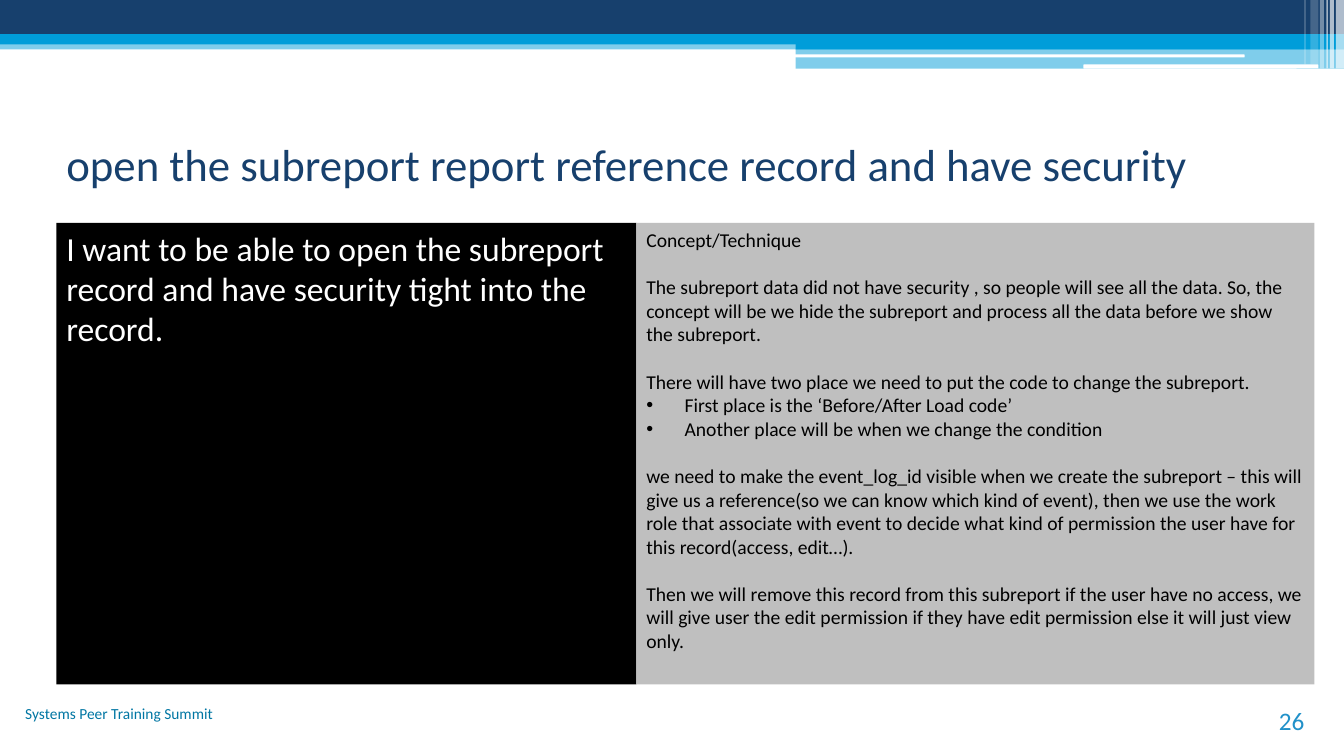
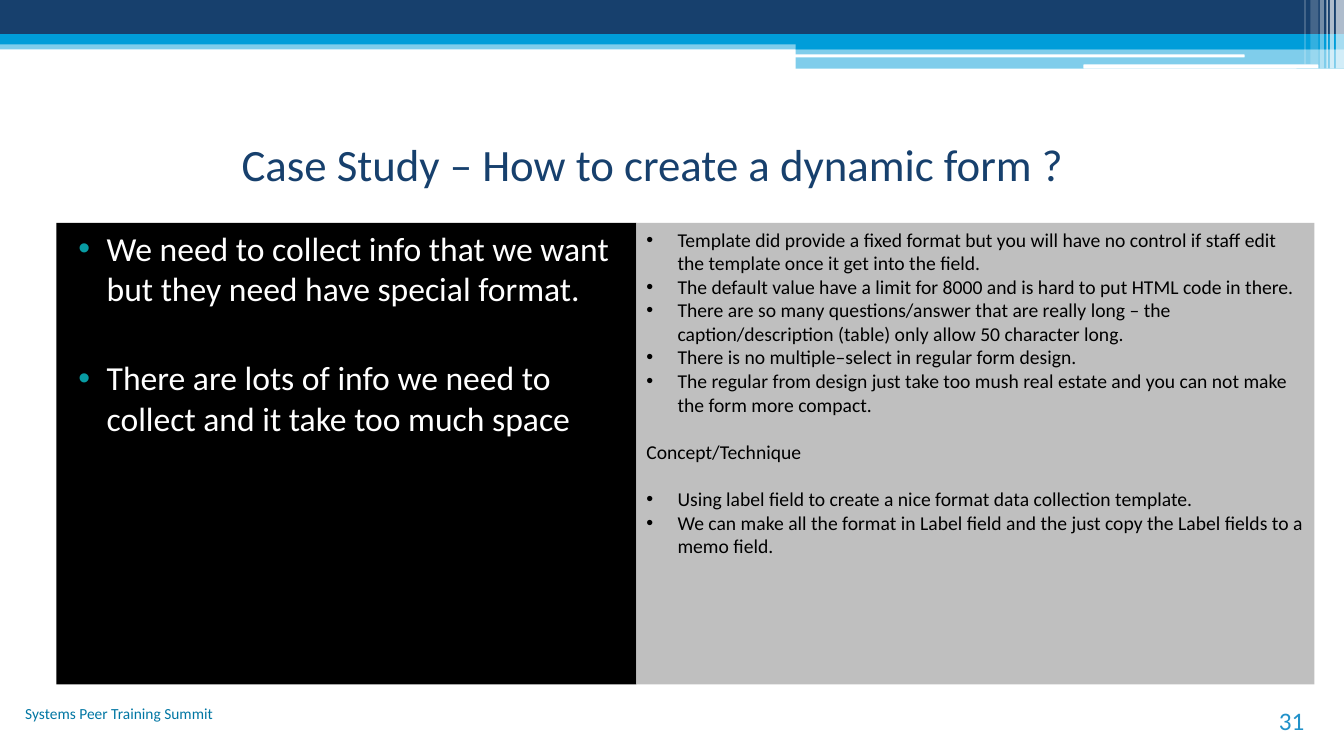
import pptx
import pptx.dml.color
import pptx.enum.shapes
import pptx.enum.text
import pptx.oxml
import pptx.oxml.ns
import pptx.util
from lxml import etree

COLORS = {
    "navy": "17406D", "blue": "009DD9", "white": "FFFFFF", "black": "000000",
    "gray": "BFBFBF", "teal": "089CA3", "footer": "0076A3", "number": "2191C9",
}
FONT = "Calibri"
ALIGN = pptx.enum.text.PP_ALIGN
ANCHOR = pptx.enum.text.MSO_ANCHOR
RECTANGLE = pptx.enum.shapes.MSO_SHAPE.RECTANGLE
ROUNDED = pptx.enum.shapes.MSO_SHAPE.ROUNDED_RECTANGLE
WIDTH, HEIGHT = pptx.util.Inches(13.333), pptx.util.Inches(7.5)

# Regions as left, top, width, height in percent of the slide
HEADER = (0, 0, 100, 9.07)
TITLE = (4.2, 13.87, 88.72, 15.6)
BODY = (4.2, 29.47, 93.6, 61.07)
FOOTER = (0, 92.53, 16.6, 6.67)
NUMBER = (89.47, 92.67, 8.33, 5.33)

# Header parts in percent of the header: box, colour, opacity
BANDS = [
    ((0, 58.8, 100, 13.2), "blue", 50),
    ((0, 0, 100, 50), "navy", 100),
    ((0, 50, 100, 14.7), "blue", 100),
    ((59.2, 57.4, 40.8, 14.7), "blue", 100),
    ((59.2, 71, 40.8, 29), "blue", 50),
]
HIGHLIGHTS = [(59.1, 79.4, 33.5, 4.4), (80.6, 94.1, 17.5, 5.9)]
# Right-hand stripes: left, width, height, opacity
STRIPES = [
    (99.4, 0.6, 100, 65), (98.95, 0.3, 100, 65), (98.7, 0.1, 100, 60),
    (98.2, 0.3, 100, 40), (97.5, 0.6, 94, 20), (97.05, 0.1, 94, 30),
]

TEXT_STYLES = {
    "title": {"size": 32, "color": "navy"},
    "problem": {"size": 24, "color": "white"},
    "detail": {"size": 14, "color": "black"},
    "footer": {"size": 11, "color": "footer"},
    "number": {"size": 18, "color": "number"},
}

# Each paragraph: text, bulleted, space before in points
PROBLEM_GAP, DETAIL_GAP = 35, 17
SLIDES = [
    {
        "title": "open the subreport report reference record and have security",
        "title_align": ALIGN.LEFT,
        "number": "26",
        "indent": 0.38,
        "problem": [
            ("I want to be able to open the subreport record and have security "
             "tight into the record.", False, 0),
        ],
        "detail": [
            ("Concept/Technique", False, 0),
            ("The subreport data did not have security , so people will see all "
             "the data. So, the concept will be we hide the subreport and process "
             "all the data before we show the subreport.", False, DETAIL_GAP),
            ("There will have two place we need to put the code to change the "
             "subreport.", False, DETAIL_GAP),
            ("First place is the ‘Before/After Load code’", True, 0),
            ("Another place will be when we change the condition", True, 0),
            ("we need to make the event_log_id visible when we create the "
             "subreport – this will give us a reference(so we can know which kind "
             "of event), then we use the work role that associate with event to "
             "decide what kind of permission the user have for this "
             "record(access, edit…).", False, DETAIL_GAP),
            ("Then we will remove this record from this subreport if the user "
             "have no access, we will give user the edit permission if they have "
             "edit permission else it will just view only.", False, DETAIL_GAP),
        ],
    },
    {
        "title": "Case Study – How to create a dynamic form ?",
        "title_align": ALIGN.CENTER,
        "number": "31",
        "indent": 0.31,
        "problem": [
            ("We need to collect info that we want but they need have special "
             "format.", True, 0),
            ("There are lots of info we need to collect and it take too much "
             "space", True, PROBLEM_GAP),
        ],
        "detail": [
            ("Template did provide a fixed format but you will have no control if "
             "staff edit the template once it get into the field.", True, 0),
            ("The default value have a limit for 8000 and is hard to put HTML "
             "code in there.", True, 0),
            ("There are so many questions/answer that are really long – the "
             "caption/description (table) only allow 50 character long.", True, 0),
            ("There is no multiple–select in regular form design.", True, 0),
            ("The regular from design just take too mush real estate and you can "
             "not make the form more compact.", True, 0),
            ("Concept/Technique", False, DETAIL_GAP),
            ("Using label field to create a nice format data collection "
             "template.", True, DETAIL_GAP),
            ("We can make all the format in Label field and the just copy the "
             "Label fields to a memo field.", True, 0),
        ],
    },
]


def inside(box, part):
    """Turn a part given in percent of a box into percent of the slide."""
    left, top, width, height = box
    return (left + width * part[0] / 100, top + height * part[1] / 100,
            width * part[2] / 100, height * part[3] / 100)


def to_emu(box):
    return [round(share * length / 100)
            for share, length in zip(box, (WIDTH, HEIGHT, WIDTH, HEIGHT))]


def rgb(name):
    return pptx.dml.color.RGBColor.from_string(COLORS[name])


def add_block(slide, box, color, opacity=100, kind=RECTANGLE):
    shape = slide.shapes.add_shape(kind, *to_emu(box))
    shape.shadow.inherit = False
    shape.line.fill.background()
    shape.fill.solid()
    shape.fill.fore_color.rgb = rgb(color)
    if opacity < 100:
        tint = shape.fill._xPr.find(".//" + pptx.oxml.ns.qn("a:srgbClr"))
        etree.SubElement(tint, pptx.oxml.ns.qn("a:alpha"), val=str(opacity * 1000))
    return shape


def add_bullet(paragraph, left, hanging, color):
    properties = paragraph._p.get_or_add_pPr()
    properties.set("marL", str(pptx.util.Inches(left)))
    properties.set("indent", str(-pptx.util.Inches(hanging)))
    qn = pptx.oxml.ns.qn
    bullet_color = etree.SubElement(properties, qn("a:buClr"))
    etree.SubElement(bullet_color, qn("a:srgbClr"), val=COLORS[color])
    etree.SubElement(properties, qn("a:buFont"), typeface="Arial")
    etree.SubElement(properties, qn("a:buChar"), char="•")


def write(shape, style, items, bullet=None, align=ALIGN.LEFT, anchor=ANCHOR.TOP):
    frame = shape.text_frame
    frame.word_wrap = True
    frame.vertical_anchor = anchor
    look = TEXT_STYLES[style]
    font_values = {"name": FONT, "size": pptx.util.Pt(look["size"])}
    for index, (text, bulleted, gap) in enumerate(items):
        paragraph = frame.paragraphs[0] if index == 0 else frame.add_paragraph()
        if bulleted:
            add_bullet(paragraph, *bullet)
        paragraph.alignment = align
        if gap:
            paragraph.space_before = pptx.util.Pt(gap)
        run = paragraph.add_run()
        run.text = text
        for attribute, value in font_values.items():
            setattr(run.font, attribute, value)
        run.font.color.rgb = rgb(look["color"])


def add_label(slide, box, style, text, align, anchor):
    shape = slide.shapes.add_textbox(*to_emu(box))
    write(shape, style, [(text, False, 0)], align=align, anchor=anchor)


def add_header(slide, box):
    for part, color, opacity in BANDS:
        add_block(slide, inside(box, part), color, opacity)
    for part in HIGHLIGHTS:
        add_block(slide, inside(box, part), "white", kind=ROUNDED)
    for left, width, height, opacity in STRIPES:
        add_block(slide, inside(box, (left, 0, width, height)), "white", opacity)


def add_panels(slide, box, content):
    split = 46.1
    problem = add_block(slide, inside(box, (0, 0, split, 100)), "black")
    write(problem, "problem", content["problem"], (0.4, 0.28, "teal"))
    detail = add_block(slide, inside(box, (split, 0, 100 - split, 100)), "gray")
    indent = content["indent"]
    write(detail, "detail", content["detail"], (indent, indent, "black"))


def add_footer(slide, number):
    add_label(slide, FOOTER, "footer", "Systems Peer Training Summit",
              ALIGN.RIGHT, ANCHOR.TOP)
    add_label(slide, NUMBER, "number", number, ALIGN.RIGHT, ANCHOR.BOTTOM)


def add_topic_slide(presentation, content):
    slide = presentation.slides.add_slide(presentation.slide_layouts[6])
    add_header(slide, HEADER)
    add_label(slide, TITLE, "title", content["title"],
              content["title_align"], ANCHOR.MIDDLE)
    add_panels(slide, BODY, content)
    add_footer(slide, content["number"])


def main():
    presentation = pptx.Presentation()
    presentation.slide_width, presentation.slide_height = WIDTH, HEIGHT
    for content in SLIDES:
        add_topic_slide(presentation, content)
    presentation.save("out.pptx")


if __name__ == "__main__":
    main()
